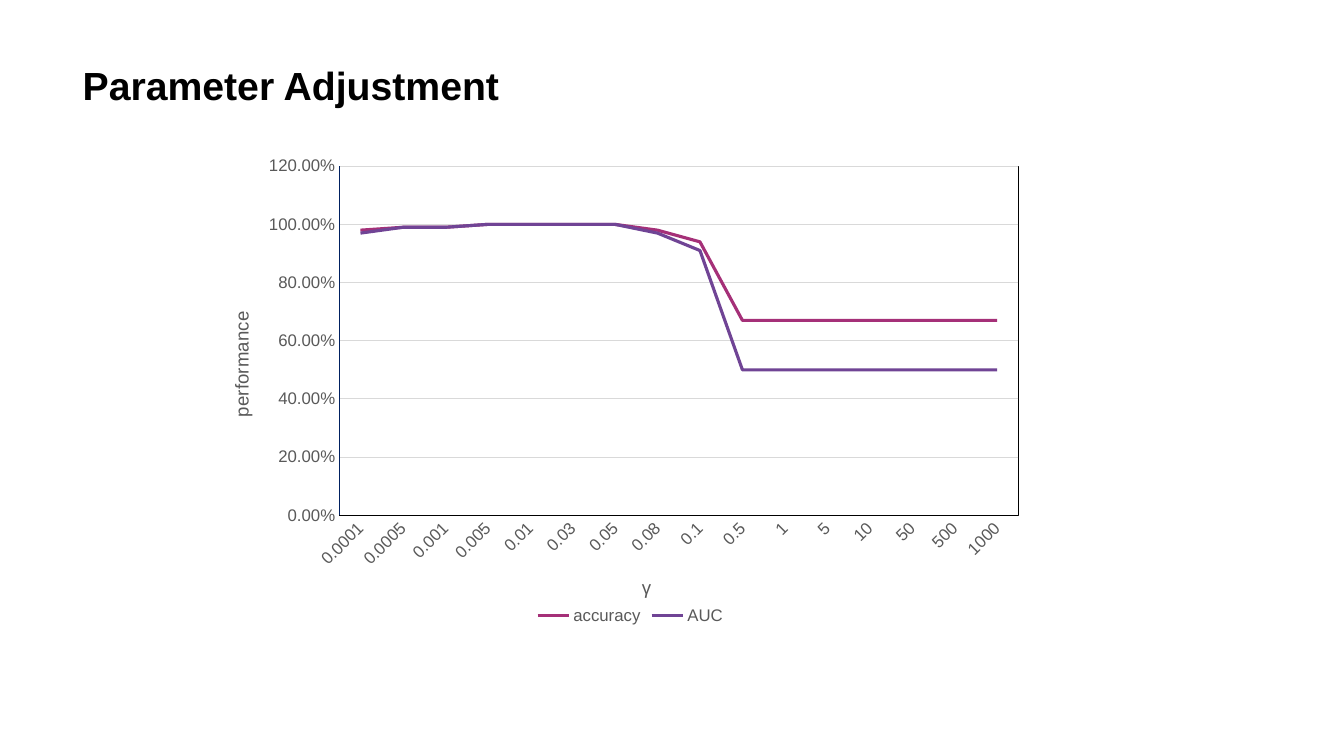
from lxml import etree
from pptx import Presentation
from pptx.chart.data import CategoryChartData as Data
from pptx.dml.color import RGBColor as RGB
from pptx.enum.chart import XL_CHART_TYPE as KIND, XL_LEGEND_POSITION as SPOT
from pptx.enum.chart import XL_TICK_MARK as TICK
from pptx.enum.text import MSO_ANCHOR as ANCHOR
from pptx.oxml import parse_xml
from pptx.oxml.ns import nsdecls, qn
from pptx.util import Pt

HUES = {"black": "000000", "text": "595959", "grid": "D9D9D9", "navy": "002060",
        "accuracy": "A53078", "AUC": "704495"}


def style(font, size, hue, bold=False):
    font.name = "Arial"
    font.size = Pt(size)
    font.bold = bold
    font.color.rgb = RGB.from_string(HUES[hue])


def place(node, index, **spots):
    for old in node.findall(qn("c:layout")):
        node.remove(old)
    layout = parse_xml(f"<c:layout {nsdecls('c')}><c:manualLayout/></c:layout>")
    for key, value in spots.items():
        etree.SubElement(layout[0], qn("c:" + key)).set("val", str(value))
    node.insert(index, layout)


deck = Presentation()
deck.slide_width, deck.slide_height = Pt(960), Pt(540)
slide = deck.slides.add_slide(deck.slide_layouts[6])

title = slide.shapes.add_textbox(Pt(52), Pt(10), Pt(855), Pt(71)).text_frame
title.word_wrap = True
title.vertical_anchor = ANCHOR.BOTTOM
title.text = "Parameter Adjustment"
style(title.paragraphs[0].runs[0].font, 28, "black", True)

data = Data(number_format="0.00%")
data.categories = ["0.0001", "0.0005", "0.001", "0.005", "0.01", "0.03", "0.05", "0.08",
                   "0.1", "0.5", "1", "5", "10", "50", "500", "1000"]
data.add_series("accuracy", [0.98, 0.99, 0.99, 1, 1, 1, 1, 0.98, 0.94] + [0.67] * 7)
data.add_series("AUC", [0.97, 0.99, 0.99, 1, 1, 1, 1, 0.97, 0.91] + [0.5] * 7)
chart = slide.shapes.add_chart(KIND.LINE, Pt(161.5), Pt(112), Pt(577.5), Pt(337), data).chart
chart.has_title = False
style(chart.font, 12, "text")
chart.has_legend = True
chart.legend.position = SPOT.BOTTOM
chart.legend.include_in_layout = False
style(chart.legend.font, 12, "text")

for series in chart.plots[0].series:
    series.smooth = False
    series.format.line.width = Pt(2.25)
    series.format.line.color.rgb = RGB.from_string(HUES[series.name])

rate, gamma = chart.value_axis, chart.category_axis
for axis, name, hue, x, y in [(rate, "performance", "navy", 0, 0.32),
                              (gamma, "γ", "black", 0.51, 0.88)]:
    axis.major_tick_mark = axis.minor_tick_mark = TICK.NONE
    style(axis.tick_labels.font, 12, "text")
    axis.format.line.width = Pt(0.75)
    axis.format.line.color.rgb = RGB.from_string(HUES[hue])
    label = axis.axis_title
    label.text_frame.text = name
    style(label.text_frame.paragraphs[0].runs[0].font, 13.3, "text")
    place(label._element, 1, xMode="edge", yMode="edge", x=x, y=y)

rate.axis_title.text_frame._txBody.bodyPr.set("rot", "-5400000")
gamma._element.find(qn("c:txPr")).find(qn("a:bodyPr")).set("rot", "-2700000")
rate.minimum_scale, rate.maximum_scale, rate.major_unit = 0, 1.2, 0.2
rate.tick_labels.number_format = "0.00%"
rate.tick_labels.number_format_is_linked = False
rate.major_gridlines.format.line.width = Pt(0.75)
rate.major_gridlines.format.line.color.rgb = RGB.from_string(HUES["grid"])

area = chart._chartSpace.chart.plotArea
place(area, 0, layoutTarget="inner", xMode="edge", yMode="edge", x=0.14, y=0.02, w=0.84, h=0.74)
area.append(parse_xml(
    f'<c:spPr {nsdecls("c", "a")}><a:noFill/><a:ln w="9525"><a:solidFill>'
    f'<a:srgbClr val="{HUES["black"]}"/></a:solidFill></a:ln></c:spPr>'))

deck.save("out.pptx")
